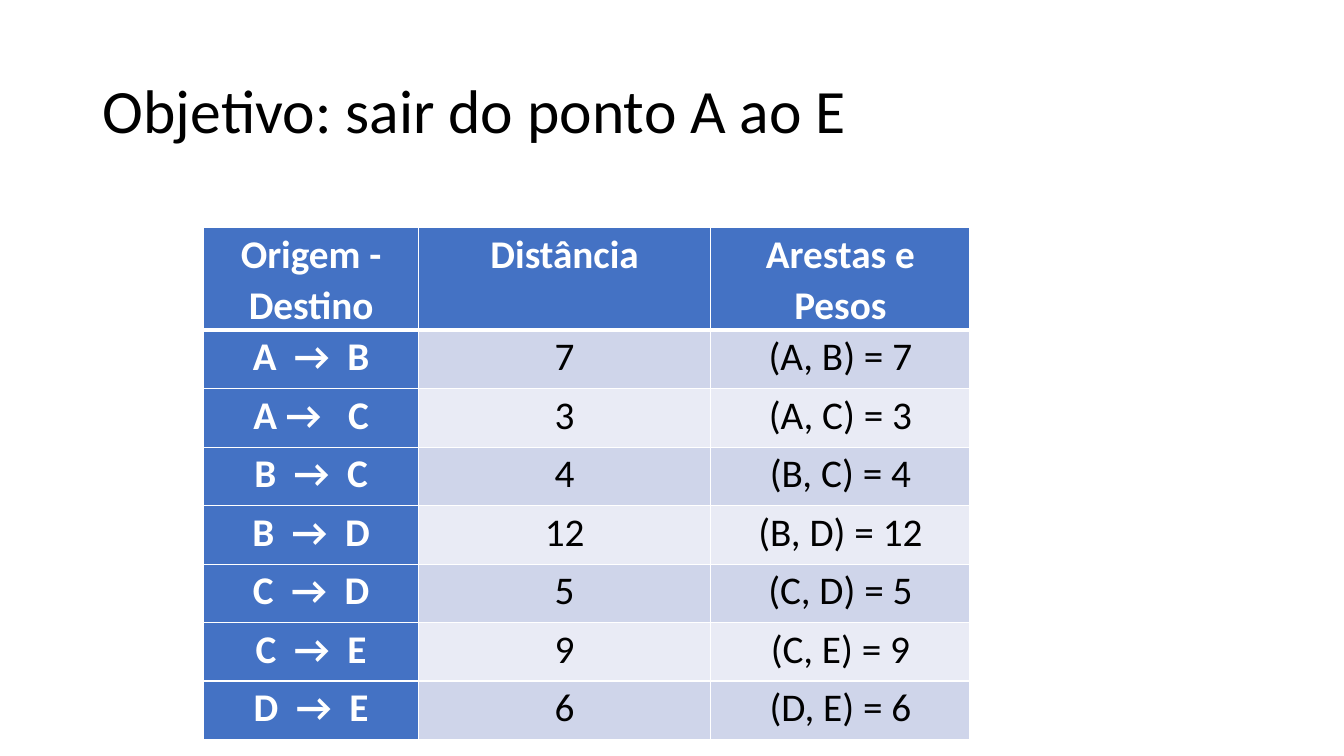
from dataclasses import dataclass

from lxml import etree
from pptx import Presentation
from pptx import util as u
from pptx.dml.color import RGBColor
from pptx.enum import text
from pptx.oxml import ns

COLOURS = {
    "ink": "000000",
    "white": "FFFFFF",
    "header": "4472C4",
    "odd": "CFD5EA",
    "even": "E9EBF5",
}
FONT = "Calibri"
HEADINGS = ("Origem - Destino", "Distância", "Arestas e Pesos")
COLUMN_WIDTHS = (2.13, 2.9, 2.57)
ROW_HEIGHT = 0.58


@dataclass(frozen=True)
class Edge:
    route: str
    origin: str
    target: str
    weight: int

    def texts(self) -> tuple[str, str, str]:
        return (
            self.route,
            str(self.weight),
            f"({self.origin}, {self.target}) = {self.weight}",
        )


EDGES = (
    Edge("A  →  B", "A", "B", 7),
    Edge("A →   C", "A", "C", 3),
    Edge("B  →  C", "B", "C", 4),
    Edge("B  →  D", "B", "D", 12),
    Edge("C  →  D", "C", "D", 5),
    Edge("C  →  E", "C", "E", 9),
    Edge("D  →  E", "D", "E", 6),
)


def colour(name: str) -> RGBColor:
    return RGBColor.from_string(COLOURS[name])


def write(frame, words: str, *, size: float, ink: str, bold: bool = False,
          align=text.PP_ALIGN.LEFT, spacing: float = 1.0, after: float = 0) -> None:
    para = frame.paragraphs[0]
    para.alignment = align
    para.line_spacing = spacing
    para.space_after = u.Pt(after)
    span = para.add_run()
    span.text = words
    span.font.name = FONT
    span.font.size = u.Pt(size)
    span.font.bold = bold
    span.font.color.rgb = colour(ink)


def add_borders(cell, **widths: float) -> None:
    properties = cell._tc.get_or_add_tcPr()
    for side, width in widths.items():
        line = etree.SubElement(properties, ns.qn(f"a:ln{side}"), w=str(u.Pt(width)))
        fill = etree.SubElement(line, ns.qn("a:solidFill"))
        etree.SubElement(fill, ns.qn("a:srgbClr"), val=COLOURS["white"])


def add_title(page, words: str) -> None:
    title = page.shapes.title
    title.left, title.top = u.Inches(0.92), u.Inches(0.4)
    title.width, title.height = u.Inches(11.5), u.Inches(1.45)
    title.text_frame.vertical_anchor = text.MSO_ANCHOR.MIDDLE
    write(title.text_frame, words, size=44, ink="ink", spacing=0.9)


def format_cell(cell, words: str, row: int, column: int) -> None:
    heading = row == 0 or column == 0
    band = "odd" if row % 2 else "even"
    add_borders(cell, L=1, R=1, T=3 if row == 1 else 1, B=3 if row == 0 else 1)
    cell.fill.solid()
    cell.fill.fore_color.rgb = colour("header" if heading else band)
    cell.margin_left = cell.margin_right = u.Inches(0.07)
    cell.margin_top = cell.margin_bottom = 0
    write(cell.text_frame, words, size=28, ink="white" if heading else "ink",
          bold=heading, align=text.PP_ALIGN.CENTER, spacing=1.07, after=8)


def add_edge_table(page) -> None:
    rows = [HEADINGS, *(edge.texts() for edge in EDGES)]
    table = page.shapes.add_table(
        len(rows), len(HEADINGS), u.Inches(2.02), u.Inches(2.26),
        u.Inches(sum(COLUMN_WIDTHS)), u.Inches(ROW_HEIGHT * len(rows)),
    ).table
    table.first_col = True
    for column, width in zip(table.columns, COLUMN_WIDTHS):
        column.width = u.Inches(width)
    for row, words in enumerate(rows):
        table.rows[row].height = u.Inches(ROW_HEIGHT)
        for column, entry in enumerate(words):
            format_cell(table.cell(row, column), entry, row, column)


def main() -> None:
    deck = Presentation()
    deck.slide_width, deck.slide_height = u.Inches(13.33), u.Inches(7.5)
    page = deck.slides.add_slide(deck.slide_layouts.get_by_name("Title Only"))
    add_title(page, "Objetivo: sair do ponto A ao E")
    add_edge_table(page)
    deck.save("out.pptx")


if __name__ == "__main__":
    main()
